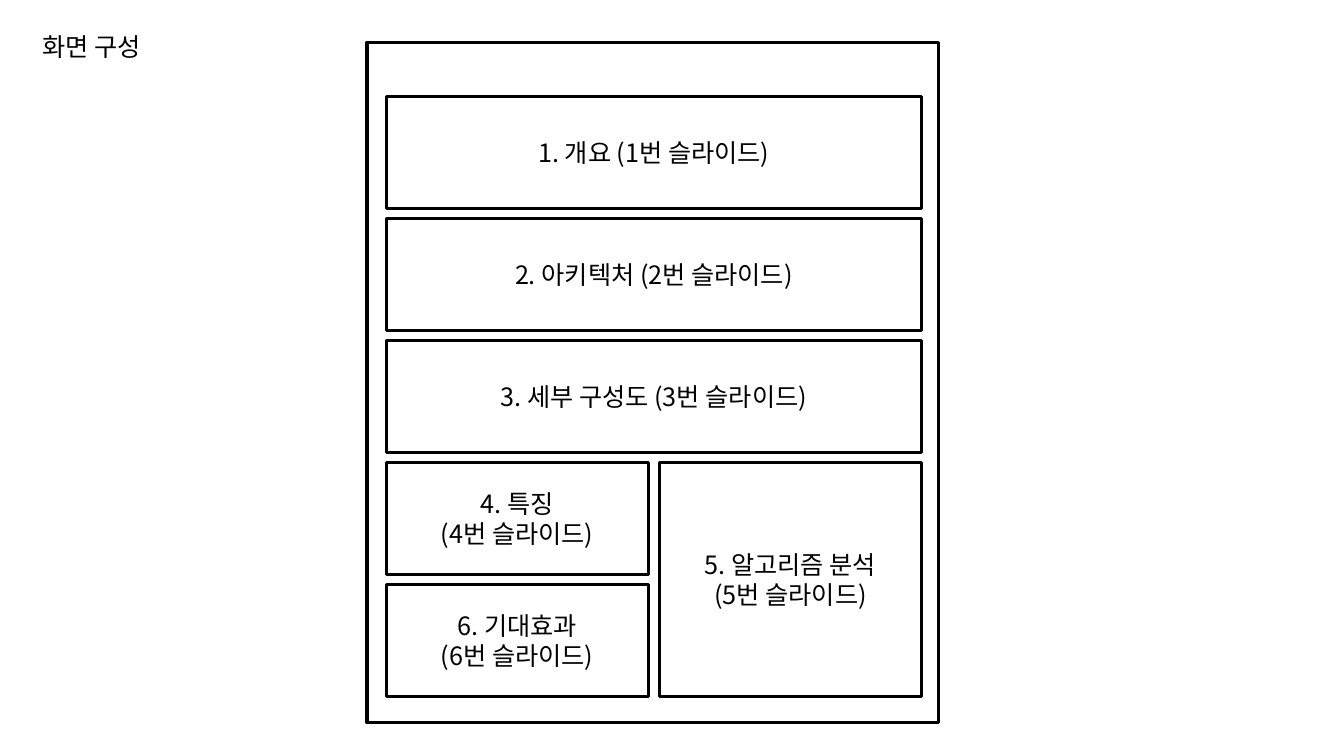
from lxml.etree import SubElement
from pptx import Presentation
from pptx.dml.color import RGBColor
from pptx.enum.shapes import MSO_SHAPE as SHAPE
from pptx.enum.text import MSO_ANCHOR as ANCHOR, MSO_AUTO_SIZE as AUTO, PP_ALIGN as ALIGN
from pptx.oxml.ns import qn
from pptx.util import Inches, Pt

# Content: lines, column, row, column span, row span
TITLE = "화면 구성"
PANELS = [
    (["1. 개요 (1번 슬라이드)"], 0, 0, 2, 1),
    (["2. 아키텍처 (2번 슬라이드)"], 0, 1, 2, 1),
    (["3. 세부 구성도 (3번 슬라이드)"], 0, 2, 2, 1),
    (["4. 특징", "(4번 슬라이드)"], 0, 3, 1, 1),
    (["6. 기대효과", "(6번 슬라이드)"], 0, 4, 1, 1),
    (["5. 알고리즘 분석", "(5번 슬라이드)"], 1, 3, 1, 2),
]

# Style and grid, in inches
FONT, SIZE, INK = "Noto Sans CJK KR", 18, "000000"
SCREEN = (3.64, 0.42, 5.67, 6.75)
LEFT, TOP = 3.83, 0.96
COL_W, ROW_H = 2.6, 1.11
COL_GAP, ROW_GAP = 0.11, 0.1


def color(value):
    return RGBColor.from_string(value)


def write(tf, lines, align):
    tf.text = "\n".join(lines)
    for p in tf.paragraphs:
        p.alignment = align
        p.font.size = Pt(SIZE)
        p.font.color.rgb = color(INK)
        p.font.name = FONT
        # Hangul takes the East Asian typeface
        SubElement(p._p.pPr.find(qn("a:defRPr")), qn("a:ea"), typeface=FONT)


def add_box(s, x, y, w, h):
    sp = s.shapes.add_shape(SHAPE.RECTANGLE, *map(Inches, (x, y, w, h)))
    sp.shadow.inherit = False
    sp.fill.background()
    sp.line.color.rgb = color(INK)
    sp.line.width = Pt(2.25)
    return sp


def span(count, size, gap):
    return count * size + (count - 1) * gap


prs = Presentation()
prs.slide_width, prs.slide_height = Inches(13.33), Inches(7.5)
s = prs.slides.add_slide(prs.slide_layouts[5])

# Title
title = s.shapes.title
title.left, title.top, title.width, title.height = map(Inches, (0.32, 0.26, 1.3, 0.4))
tf = title.text_frame
write(tf, [TITLE], ALIGN.LEFT)
tf.word_wrap = False
tf.auto_size = AUTO.SHAPE_TO_FIT_TEXT
tf.vertical_anchor = ANCHOR.TOP

# Screen outline and its panels
add_box(s, *SCREEN)
for lines, col, row, cols, rows in PANELS:
    sp = add_box(s, LEFT + col * (COL_W + COL_GAP), TOP + row * (ROW_H + ROW_GAP),
                 span(cols, COL_W, COL_GAP), span(rows, ROW_H, ROW_GAP))
    sp.text_frame.vertical_anchor = ANCHOR.MIDDLE
    write(sp.text_frame, lines, ALIGN.CENTER)

prs.save("out.pptx")
